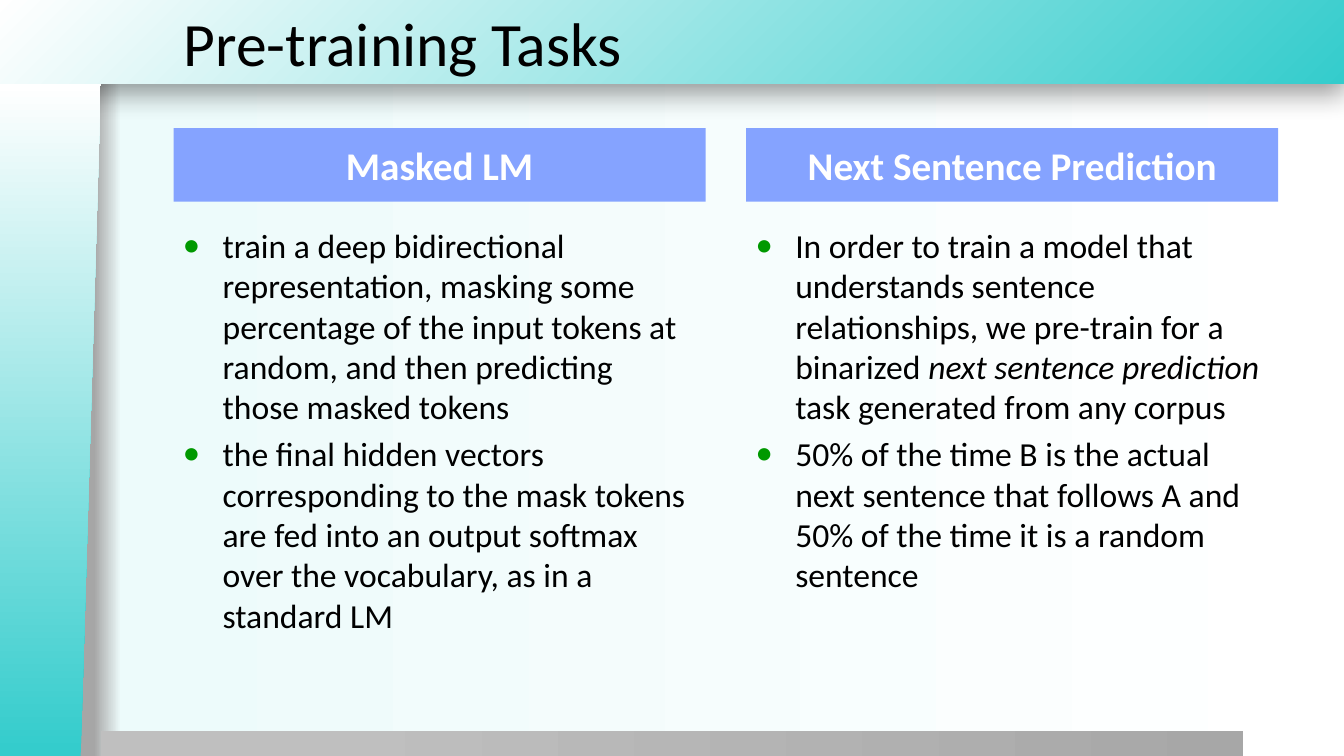
"""Build the Pre-training Tasks slide with two task columns."""
from lxml import etree
from pptx import Presentation
from pptx.dml.color import RGBColor
from pptx.enum.shapes import MSO_SHAPE
from pptx.enum.text import MSO_ANCHOR, PP_ALIGN
from pptx.oxml import parse_xml
from pptx.oxml.ns import qn
from pptx.util import Pt

RECTANGLE = MSO_SHAPE.RECTANGLE
MANUAL_INPUT = MSO_SHAPE.FLOWCHART_MANUAL_INPUT
MIDDLE = MSO_ANCHOR.MIDDLE
CENTER, LEFT = PP_ALIGN.CENTER, PP_ALIGN.LEFT
NAMESPACE = "http://schemas.openxmlformats.org/drawingml/2006/main"

TITLE = "Pre-training Tasks"
TASKS = [
    ("Masked LM", [
        [("train a deep bidirectional representation, masking some percentage of the "
          "input tokens at random, and then predicting those masked tokens", False)],
        [("the final hidden vectors corresponding to the mask tokens are fed into an "
          "output softmax over the vocabulary, as in a standard LM", False)],
    ]),
    ("Next Sentence Prediction", [
        [("In order to train a model that understands sentence relationships, we "
          "pre-train for a binarized ", False),
         ("next sentence prediction ", True),
         ("task generated from any corpus", False)],
        [("50% of the time B is the actual next sentence that follows A and 50% of the "
          "time it is a random sentence", False)],
    ]),
]

FONT = "Calibri"
BLACK, WHITE, TEAL = "000000", "FFFFFF", "34CCCC"
HEADER_FILL, BULLET_GREEN = "85A3FF", "009900"
BACKGROUND = [(7, "A6A6A6"), (9, "EDFBFB"), (100, WHITE)]
LINEAR = '<a:lin ang="0" scaled="0"/>'
FROM_CORNER = '<a:path path="circle"><a:fillToRect l="100000" t="100000"/></a:path>'

WIDTH, HEIGHT = 960, 540
BAND_HEIGHT = 60
SIDE_WIDTH = 72
FOOT_TOP, FOOT_WIDTH = 522, 816
COLUMN_LEFT, COLUMN_WIDTH, COLUMN_PITCH = 124, 380, 409
HEADER_TOP, HEADER_HEIGHT = 91.5, 52.5
BODY_TOP, BODY_HEIGHT = 157, 358
INDENT = 28


def color(value):
    return RGBColor.from_string(value)


def set_gradient(fill, element, stops, shade):
    fill.solid()
    solid = element.find(".//" + qn("a:solidFill"))
    stop_list = "".join(
        f'<a:gs pos="{place * 1000}"><a:srgbClr val="{value}"/></a:gs>' for place, value in stops)
    gradient = parse_xml(f'<a:gradFill xmlns:a="{NAMESPACE}" rotWithShape="1">'
                         f"<a:gsLst>{stop_list}</a:gsLst>{shade}</a:gradFill>")
    solid.getparent().replace(solid, gradient)


def add_block(page, kind, left, top, width, height):
    block = page.shapes.add_shape(kind, Pt(left), Pt(top), Pt(width), Pt(height))
    block.shadow.inherit = False
    block.line.fill.background()
    return block


def add_shadow(shape):
    effects = shape.element.spPr.find(qn("a:effectLst"))
    shadow = etree.SubElement(effects, qn("a:outerShdw"), blurRad=str(Pt(20)),
                              dist=str(Pt(6)), dir="5400000", rotWithShape="0")
    tint = etree.SubElement(shadow, qn("a:srgbClr"), val=BLACK)
    etree.SubElement(tint, qn("a:alpha"), val="40000")


def style(font, size, value, bold=False):
    font.name, font.size, font.bold = FONT, Pt(size), bold
    font.color.rgb = color(value)


def add_bullet(para):
    properties = para._p.get_or_add_pPr()
    properties.set("marL", str(Pt(INDENT)))
    properties.set("indent", str(-Pt(INDENT)))
    bullet_color = etree.SubElement(properties, qn("a:buClr"))
    etree.SubElement(bullet_color, qn("a:srgbClr"), val=BULLET_GREEN)
    etree.SubElement(properties, qn("a:buSzPct"), val="80000")
    etree.SubElement(properties, qn("a:buFont"), typeface=FONT)
    etree.SubElement(properties, qn("a:buChar"), char="●")


def add_backdrop(page):
    set_gradient(page.background.fill, page.element, BACKGROUND, LINEAR)
    band = add_block(page, RECTANGLE, 0, 0, WIDTH, BAND_HEIGHT)
    set_gradient(band.fill, band.element, [(0, TEAL), (100, WHITE)], FROM_CORNER)
    add_shadow(band)
    foot = add_block(page, RECTANGLE, SIDE_WIDTH, FOOT_TOP, FOOT_WIDTH, HEIGHT - FOOT_TOP)
    set_gradient(foot.fill, foot.element, [(20, "BFBFBF"), (100, "A7A7A7")], LINEAR)
    length = HEIGHT - BAND_HEIGHT
    side = add_block(page, MANUAL_INPUT, (SIDE_WIDTH - length) / 2,
                     BAND_HEIGHT + (length - SIDE_WIDTH) / 2, length, SIDE_WIDTH)
    side.rotation = 270
    side.element.spPr.find(qn("a:xfrm")).set("flipV", "1")
    set_gradient(side.fill, side.element, [(1, TEAL), (100, WHITE)], LINEAR)


def add_title(page):
    title = page.shapes.title
    title.element.getparent().append(title.element)
    title.left, title.top = Pt(COLUMN_LEFT), Pt(0)
    title.width, title.height = Pt(WIDTH - COLUMN_LEFT), Pt(BAND_HEIGHT)
    title.text_frame.text = TITLE
    title.text_frame.vertical_anchor = MIDDLE
    para = title.text_frame.paragraphs[0]
    para.alignment = LEFT
    style(para.runs[0].font, 44, BLACK)


def add_task(page, left, heading, points):
    header = add_block(page, RECTANGLE, left, HEADER_TOP, COLUMN_WIDTH, HEADER_HEIGHT)
    header.fill.solid()
    header.fill.fore_color.rgb = color(HEADER_FILL)
    header.text_frame.text = heading
    header.text_frame.vertical_anchor = MIDDLE
    para = header.text_frame.paragraphs[0]
    para.alignment = CENTER
    style(para.runs[0].font, 28, WHITE, bold=True)

    body = page.shapes.add_textbox(Pt(left), Pt(BODY_TOP), Pt(COLUMN_WIDTH), Pt(BODY_HEIGHT))
    frame = body.text_frame
    frame.word_wrap = True
    for number, spans in enumerate(points):
        para = frame.add_paragraph() if number else frame.paragraphs[0]
        add_bullet(para)
        if number:
            para.space_before = Pt(5)
        for words, italic in spans:
            span = para.add_run()
            span.text = words
            style(span.font, 24, BLACK)
            span.font.italic = italic


def main():
    deck = Presentation()
    deck.slide_width, deck.slide_height = Pt(WIDTH), Pt(HEIGHT)
    page = deck.slides.add_slide(deck.slide_layouts[5])
    add_backdrop(page)
    add_title(page)
    for number, (heading, points) in enumerate(TASKS):
        add_task(page, COLUMN_LEFT + number * COLUMN_PITCH, heading, points)
    deck.save("out.pptx")


if __name__ == "__main__":
    main()
